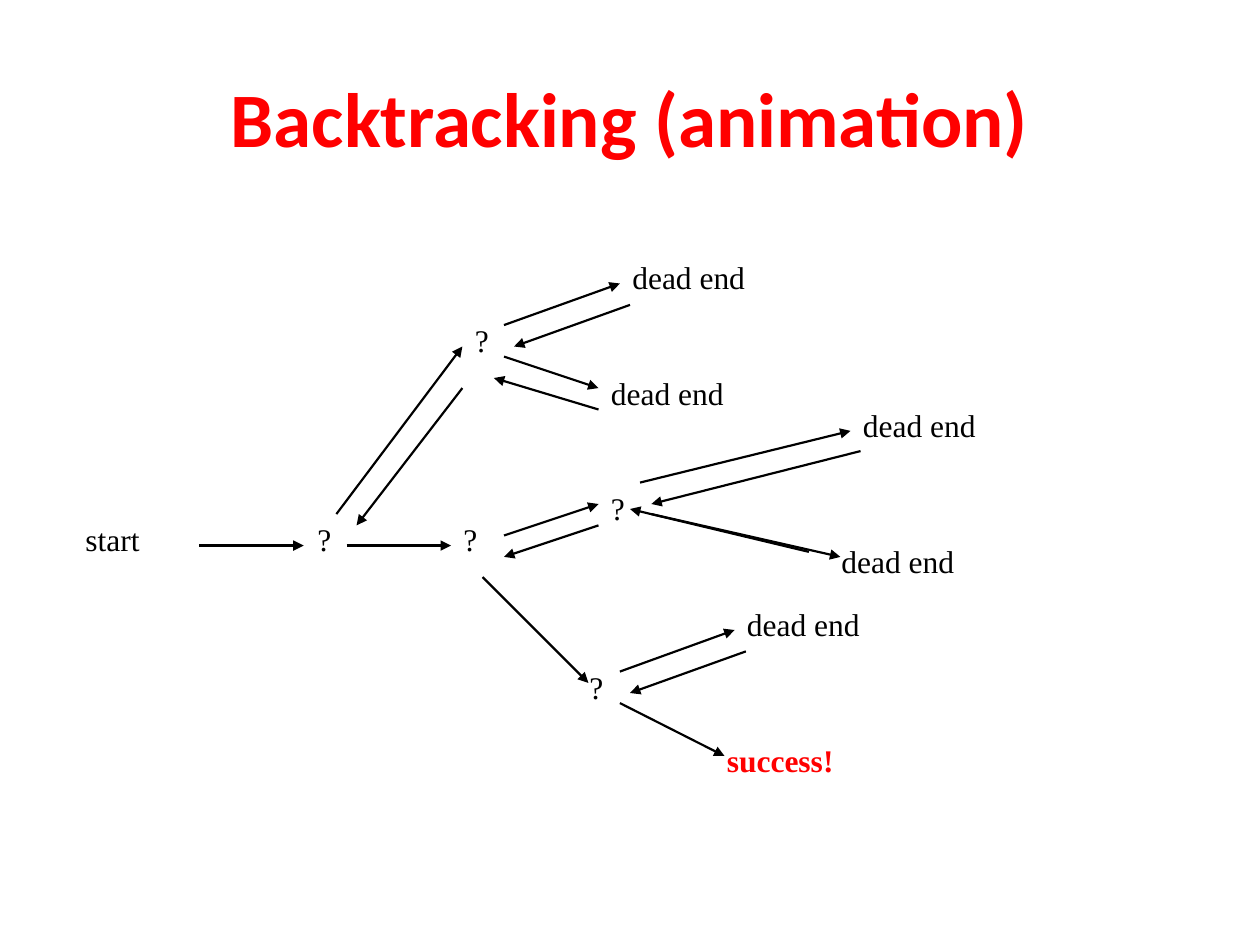
from pptx import Presentation
from pptx.dml.color import RGBColor
from pptx.enum.shapes import MSO_CONNECTOR
from pptx.enum.text import MSO_ANCHOR, PP_ALIGN
from pptx.oxml.ns import qn
from pptx.util import Inches, Pt
from lxml.etree import SubElement

BLACK = RGBColor(0x00, 0x00, 0x00)
RED = RGBColor(0xFF, 0x00, 0x00)

# Nodes of the search tree: text, left, top, width
NODES = [
    ("start", 0.58, 4.08, 1.08),
    ("?", 2.42, 4.08, 0.5),
    ("?", 3.67, 2.5, 0.42),
    ("?", 3.58, 4.08, 0.5),
    ("?", 4.75, 3.83, 0.5),
    ("?", 4.58, 5.25, 0.5),
    ("dead end", 4.92, 2, 1.75),
    ("dead end", 4.75, 2.92, 1.75),
    ("dead end", 6.75, 3.17, 1.75),
    ("dead end", 6.58, 4.25, 1.75),
    ("dead end", 5.83, 4.75, 1.75),
]

# Arrows: start x, start y, end x, end y
FORWARD_STEPS = [
    (1.58, 4.33, 2.41, 4.33),
    (2.67, 4.08, 3.67, 2.75),
    (2.75, 4.33, 3.58, 4.33),
    (4, 2.58, 4.92, 2.25),
    (4, 2.83, 4.75, 3.08),
    (4, 4.25, 4.75, 4),
    (5.08, 3.83, 6.75, 3.42),
    (5.17, 4.08, 6.67, 4.42),
    (3.83, 4.58, 4.67, 5.42),
    (4.92, 5.33, 5.83, 5),
    (4.92, 5.58, 5.75, 6),
]
BACKTRACKS = [
    (5, 2.42, 4.08, 2.75),
    (4.75, 3.25, 3.92, 3),
    (3.67, 3.08, 2.83, 4.17),
    (6.83, 3.58, 5.17, 4),
    (6.42, 4.38, 5, 4.04),
    (4.75, 4.17, 4, 4.42),
    (5.92, 5.17, 5, 5.5),
]


def write(frame, text, font="Times New Roman", size=18, color=BLACK,
          bold=False, align=PP_ALIGN.LEFT, anchor=MSO_ANCHOR.TOP):
    frame.word_wrap = True
    frame.vertical_anchor = anchor
    para = frame.paragraphs[0]
    para.alignment = align
    span = para.add_run()
    span.text = text
    span.font.name = font
    span.font.size = Pt(size)
    span.font.bold = bold
    span.font.color.rgb = color


class Diagram:
    """Holds the line style and the current slide."""

    line_color = BLACK
    line_width = Pt(1.25)

    def __init__(self, page):
        self.page = page

    def label(self, text, left, top, width, height=0.5, **style):
        box = self.page.shapes.add_textbox(
            Inches(left), Inches(top), Inches(width), Inches(height))
        write(box.text_frame, text, **style)

    def arrow(self, *ends):
        line = self.page.shapes.add_connector(
            MSO_CONNECTOR.STRAIGHT, *map(Inches, ends))
        line.line.color.rgb = self.line_color
        line.line.width = self.line_width
        SubElement(line.line._get_or_add_ln(), qn("a:tailEnd"), type="triangle")
        SubElement(line._element.spPr, qn("a:effectLst"))


def main():
    deck = Presentation()
    deck.slide_width, deck.slide_height = Inches(10), Inches(7.5)
    diagram = Diagram(deck.slides.add_slide(deck.slide_layouts[6]))

    # Title
    diagram.label("Backtracking (animation)", 0.5, 0.3, 9, 1.25,
                  font="Calibri", size=44, color=RED, bold=True,
                  align=PP_ALIGN.CENTER, anchor=MSO_ANCHOR.MIDDLE)

    # Search tree
    for node in NODES:
        diagram.label(*node)
    diagram.label("success!", 5.67, 5.83, 1.75, color=RED, bold=True)

    # Moves through the tree
    for ends in FORWARD_STEPS + BACKTRACKS:
        diagram.arrow(*ends)

    deck.save("out.pptx")


if __name__ == "__main__":
    main()
